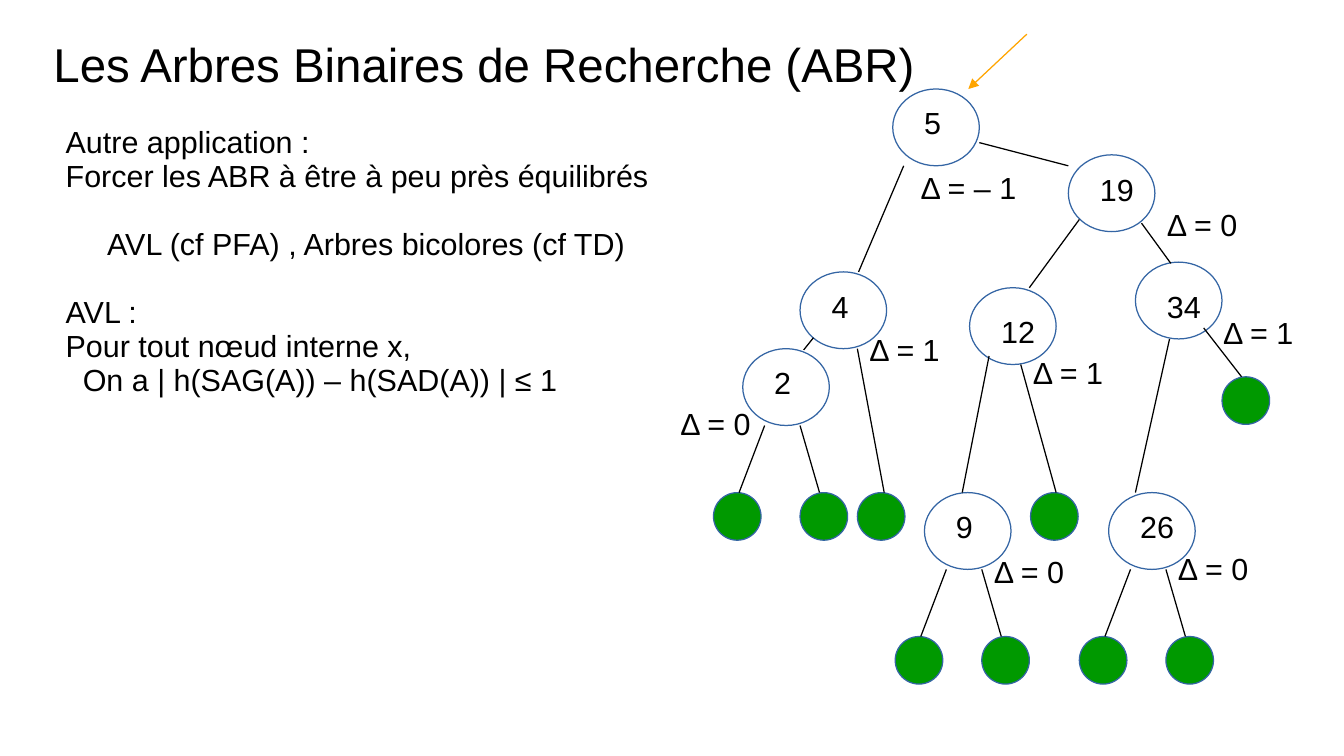
from dataclasses import dataclass

from pptx import Presentation
from pptx.dml.color import RGBColor
from pptx.enum.shapes import MSO_CONNECTOR, MSO_SHAPE
from pptx.oxml.ns import qn
from pptx.util import Inches, Pt
from lxml.etree import SubElement


@dataclass(frozen=True)
class Theme:
    font: str = "Arial"
    title_size: int = 28
    text_size: int = 18
    line_width: float = 0.75
    line_spacing: float = 0.93
    ink: str = "000000"
    outline: str = "3465A4"
    node: str = "FFFFFF"
    leaf: str = "009900"
    pointer: str = "FFA500"


THEME = Theme()
PAGE_WIDTH, PAGE_HEIGHT = 11.02, 6.2
NODE_WIDTH, NODE_HEIGHT, LEAF_SIZE = 0.71, 0.63, 0.39

# Body lines: text, left indent in inches, space before in points
BODY = [
    ("Autre application :", 0, 0),
    ("Forcer les ABR à être à peu près équilibrés", 0, 0),
    ("AVL (cf PFA) , Arbres bicolores (cf TD)", 0.34, 20),
    ("AVL :", 0, 20),
    ("Pour tout nœud interne x,", 0, 0),
    ("On a | h(SAG(A)) – h(SAD(A)) | ≤ 1", 0.14, 0),
]

# Inner nodes: value, left, top, drop of the value inside the node
NODES = [
    ("5", 7.32, 0.73, 0.07),
    ("19", 8.76, 1.27, 0.08),
    ("4", 6.56, 2.23, 0.08),
    ("12", 7.95, 2.36, 0.16),
    ("34", 9.31, 2.15, 0.16),
    ("2", 6.09, 2.86, 0.08),
    ("9", 7.58, 4.04, 0.08),
    ("26", 9.09, 4.04, 0.08),
]
TWO_LEAF_NODES = ("2", "9", "26")
SINGLE_LEAVES = [(7.03, 4.04), (8.45, 4.04), (10.02, 3.09)]

# Edges: start x, start y, end x, end y
EDGES = [
    (7.41, 1.36, 7.04, 2.23),
    (8.03, 1.17, 8.76, 1.36),
    (8.85, 1.8, 8.44, 2.36),
    (9.36, 1.83, 9.6, 2.16),
    (6.67, 2.77, 6.59, 2.87),
    (7.03, 2.86, 7.25, 4.04),
    (8.11, 2.92, 7.89, 4.04),
    (8.37, 2.99, 8.66, 4.04),
    (9.59, 2.78, 9.31, 4.04),
    (9.87, 2.69, 10.18, 3.09),
]

# Balance labels: text, left, top
BALANCES = [
    ("Δ = – 1", 7.45, 1.36),
    ("Δ = 0", 9.47, 1.67),
    ("Δ = 1", 7.03, 2.69),
    ("Δ = 1", 8.37, 2.88),
    ("Δ = 1", 9.93, 2.55),
    ("Δ = 0", 5.48, 3.3),
    ("Δ = 0", 8.05, 4.51),
    ("Δ = 0", 9.56, 4.49),
]


def set_all(target, values):
    for name, value in values.items():
        setattr(target, name, value)


def add_text(page, lines, left, top, width, height,
             size=THEME.text_size, spacing=THEME.line_spacing, inset_top=0.05):
    box = page.shapes.add_textbox(*map(Inches, (left, top, width, height)))
    frame = box.text_frame
    set_all(frame, {
        "word_wrap": True,
        "margin_left": Inches(0.1),
        "margin_right": Inches(0.1),
        "margin_top": Inches(inset_top),
        "margin_bottom": Inches(0.05),
    })
    for index, (text, indent, space) in enumerate(lines):
        para = frame.add_paragraph() if index else frame.paragraphs[0]
        if indent:
            para._p.get_or_add_pPr().set("marL", str(Inches(indent)))
        set_all(para, {"line_spacing": spacing, "space_before": Pt(space)})
        span = para.add_run()
        span.text = text
        set_all(span.font, {"name": THEME.font, "size": Pt(size)})
        span.font.color.rgb = RGBColor.from_string(THEME.ink)


def add_ellipse(page, left, top, width, height, fill):
    shape = page.shapes.add_shape(
        MSO_SHAPE.OVAL, *map(Inches, (left, top, width, height)))
    shape.shadow.inherit = False
    shape.fill.solid()
    shape.fill.fore_color.rgb = RGBColor.from_string(fill)
    shape.line.color.rgb = RGBColor.from_string(THEME.outline)
    shape.line.width = Pt(THEME.line_width)


def add_leaf(page, left, top):
    add_ellipse(page, left, top, LEAF_SIZE, LEAF_SIZE, THEME.leaf)


def add_node(page, value, left, top, drop):
    add_ellipse(page, left, top, NODE_WIDTH, NODE_HEIGHT, THEME.node)
    add_text(page, [(value, 0, 0)], left + 0.16, top + drop, 0.55, 0.38, spacing=1.0)


def add_edge(page, start_x, start_y, end_x, end_y, color=THEME.ink, arrow=False):
    edge = page.shapes.add_connector(
        MSO_CONNECTOR.STRAIGHT, *map(Inches, (start_x, start_y, end_x, end_y)))
    edge.line.color.rgb = RGBColor.from_string(color)
    edge.line.width = Pt(THEME.line_width)
    if arrow:
        SubElement(edge.line._get_or_add_ln(), qn("a:tailEnd"), type="triangle")
    SubElement(edge._element.spPr, qn("a:effectLst"))


def add_leaf_pair(page, left, top):
    bottom, leaf_top = top + NODE_HEIGHT, top + 1.18
    for leaf_offset, start, end in ((-0.24, 0.18, -0.03), (0.47, 0.47, 0.63)):
        add_leaf(page, left + leaf_offset, leaf_top)
        add_edge(page, left + start, bottom, left + end, leaf_top)


def main():
    deck = Presentation()
    set_all(deck, {"slide_width": Inches(PAGE_WIDTH),
                   "slide_height": Inches(PAGE_HEIGHT)})
    page = deck.slides.add_slide(deck.slide_layouts[6])

    # Title and body
    add_text(page, [("Les Arbres Binaires de Recherche (ABR)", 0, 0)],
             0.34, 0.25, 7.87, 5.84, size=THEME.title_size, inset_top=0.08)
    add_text(page, BODY, 0.44, 0.99, 6.35, 2.89)

    # Tree
    for value, left, top, drop in NODES:
        add_node(page, value, left, top, drop)
        if value in TWO_LEAF_NODES:
            add_leaf_pair(page, left, top)
    for leaf in SINGLE_LEAVES:
        add_leaf(page, *leaf)
    for edge in EDGES:
        add_edge(page, *edge)

    # Pointer to the root
    add_edge(page, 8.42, 0.28, 7.94, 0.73, THEME.pointer, arrow=True)

    # Balance labels
    for text, left, top in BALANCES:
        width = min(1.31, PAGE_WIDTH - left)
        add_text(page, [(text, 0, 0)], left, top, width, 0.38)

    deck.save("out.pptx")


if __name__ == "__main__":
    main()
